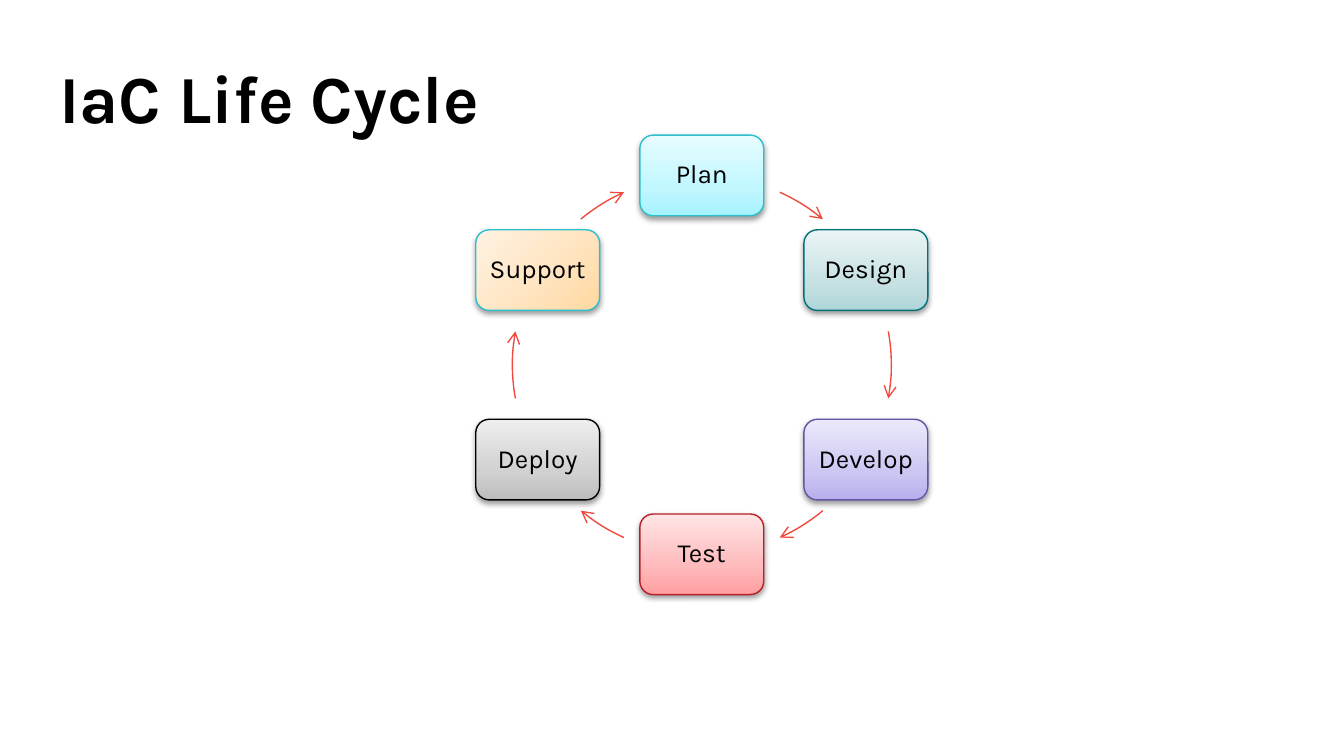
import copy
import math

import pptx
import pptx.dml.color
import pptx.enum.shapes
import pptx.enum.text
import pptx.oxml
import pptx.oxml.ns
import pptx.util

Pt = pptx.util.Pt
Shape = pptx.enum.shapes.MSO_SHAPE
Align = pptx.enum.text.PP_ALIGN
Anchor = pptx.enum.text.MSO_ANCHOR
qn = pptx.oxml.ns.qn

FONT = "Karla"
MID_X, MID_Y, RADIUS = 376, 195.5, 101.5
BOX_W, BOX_H = 66.4, 43.2
STEP = 60

STAGES = [
    ("Plan", "2EBFCC", ["A7F3FF", "C1F7FF", "E7FCFF"], 35, 90),
    ("Design", "007276", ["AFD6D9", "C7E1E3", "EAF4F5"], 35, 90),
    ("Develop", "6354A4", ["B7AFED", "CCC7F2", "EBE9FB"], 35, 90),
    ("Test", "B81F2B", ["FF9EA0", "FFBABC", "FFE5E5"], 35, 90),
    ("Deploy", "000000", ["BDBDBD", "D1D1D1", "EEEEEE"], 35, 90),
    ("Support", "2EBFCC", ["FFD8A0", "FFE6C5", "FFF2E3"], 50, 135),
]
ARCS = [(24.3, 39.7), (79.8, 100.2), (140.3, 155.7)]


def paint(color, tone):
    color.rgb = pptx.dml.color.RGBColor.from_string(tone)


def place(shape, left, top, width, height):
    shape.left, shape.top = Pt(left), Pt(top)
    shape.width, shape.height = Pt(width), Pt(height)


def write(para, text, size, bold=False):
    run = para.add_run()
    run.text = text
    run.font.name = FONT
    run.font.size = Pt(size)
    run.font.bold = bold
    paint(run.font.color, "000000")


def outline(shape, tone):
    paint(shape.line.color, tone)
    shape.line.width = Pt(0.75)
    shape.shadow.inherit = False


def blend(fill, root, tones, mid, angle):
    fill.gradient()
    fill.gradient_angle = angle
    stops = root.find(".//" + qn("a:gsLst"))
    stops.append(copy.deepcopy(stops[0]))
    for stop, tone, spot in zip(fill.gradient_stops, tones, (0, mid, 100)):
        paint(stop.color, tone)
        stop.position = spot / 100


def shade(shape):
    effects = shape._element.spPr.find(qn("a:effectLst"))
    effects.append(pptx.oxml.parse_xml(
        f'<a:outerShdw {pptx.oxml.ns.nsdecls("a")} blurRad="{Pt(3.1)}" '
        f'dist="{Pt(1.6)}" dir="5400000" rotWithShape="0">'
        '<a:srgbClr val="000000"><a:alpha val="38000"/></a:srgbClr>'
        '</a:outerShdw>'))


def add_title(slide, text):
    title = slide.shapes.title
    place(title, 24.5, 34.5, 668, 48.2)
    frame = title.text_frame
    frame.auto_size = pptx.enum.text.MSO_AUTO_SIZE.NONE
    frame.vertical_anchor = Anchor.TOP
    para = frame.paragraphs[0]
    para.alignment = Align.LEFT
    para.line_spacing = Pt(35)
    write(para, text, 36, True)


def add_stage(slide, turn, name, edge, tones, mid, angle):
    x = MID_X + RADIUS * math.sin(math.radians(turn))
    y = MID_Y - RADIUS * math.cos(math.radians(turn))
    box = slide.shapes.add_shape(Shape.ROUNDED_RECTANGLE, 0, 0, 0, 0)
    place(box, x - BOX_W / 2, y - BOX_H / 2, BOX_W, BOX_H)
    blend(box.fill, box._element.spPr, tones, mid, angle)
    outline(box, edge)
    shade(box)
    frame = box.text_frame
    frame.word_wrap = True
    frame.vertical_anchor = Anchor.MIDDLE
    frame.margin_left = frame.margin_right = Pt(2)
    frame.margin_top = frame.margin_bottom = Pt(2)
    para = frame.paragraphs[0]
    para.alignment = Align.CENTER
    para.line_spacing = 0.9
    write(para, name, 14)


def add_arc(slide, start, end):
    arc = slide.shapes.add_shape(Shape.ARC, 0, 0, 0, 0)
    place(arc, MID_X - RADIUS, MID_Y - RADIUS, 2 * RADIUS, 2 * RADIUS)
    for i, turn in enumerate((start, end)):
        arc.adjustments[i] = (turn - 90) % 360 * 0.6
    arc.fill.background()
    outline(arc, "F0493E")
    line = arc.line._get_or_add_ln()
    line.append(pptx.oxml.parse_xml(
        f'<a:tailEnd {pptx.oxml.ns.nsdecls("a")} type="arrow"/>'))


def main():
    deck = pptx.Presentation()
    deck.slide_width, deck.slide_height = Pt(720), Pt(405)
    slide = deck.slides.add_slide(deck.slide_layouts[5])
    add_title(slide, "IaC Life Cycle")
    for i, stage in enumerate(STAGES):
        add_stage(slide, i * STEP, *stage)
    for start, end in ARCS:
        add_arc(slide, start, end)
        add_arc(slide, start + 180, end + 180)
    deck.save("out.pptx")


if __name__ == "__main__":
    main()
